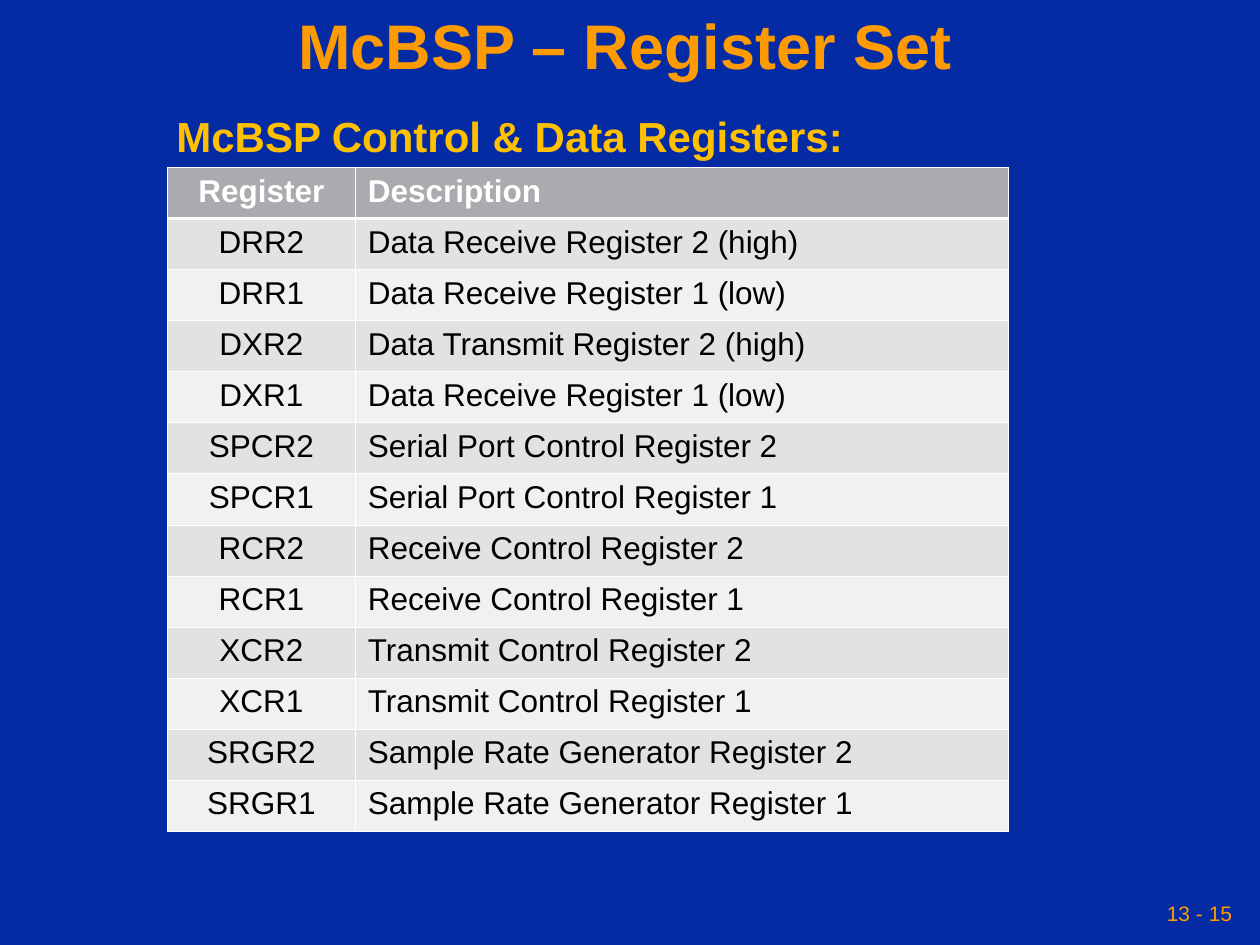
from lxml import etree
from pptx import Presentation
from pptx.dml.color import RGBColor
from pptx.enum.text import MSO_ANCHOR, MSO_AUTO_SIZE, PP_ALIGN
from pptx.oxml.ns import qn
from pptx.util import Inches, Pt

LEFT, CENTER, RIGHT = PP_ALIGN.LEFT, PP_ALIGN.CENTER, PP_ALIGN.RIGHT
TOP, MIDDLE = MSO_ANCHOR.TOP, MSO_ANCHOR.MIDDLE
FIT_SHAPE, NO_FIT = MSO_AUTO_SIZE.SHAPE_TO_FIT_TEXT, MSO_AUTO_SIZE.NONE

BLUE = RGBColor(0x04, 0x2A, 0xA4)
ORANGE = RGBColor(0xFE, 0x9B, 0x03)
GOLD = RGBColor(0xFF, 0xC0, 0x00)
WHITE = RGBColor(0xFF, 0xFF, 0xFF)
BLACK = RGBColor(0x00, 0x00, 0x00)
HEADER_GREY = RGBColor(0xAA, 0xAA, 0xAF)
BANDS = (RGBColor(0xF1, 0xF1, 0xF2), RGBColor(0xE2, 0xE2, 0xE3))

THIN, THICK = 0.45, 1.47

REGISTERS = [
    ("Register", "Description"),
    ("DRR2", "Data Receive Register 2 (high)"),
    ("DRR1", "Data Receive Register 1 (low)"),
    ("DXR2", "Data Transmit Register 2 (high)"),
    ("DXR1", "Data Receive Register 1 (low)"),
    ("SPCR2", "Serial Port Control Register 2"),
    ("SPCR1", "Serial Port Control Register 1"),
    ("RCR2", "Receive Control Register 2"),
    ("RCR1", "Receive Control Register 1"),
    ("XCR2", "Transmit Control Register 2"),
    ("XCR1", "Transmit Control Register 1"),
    ("SRGR2", "Sample Rate Generator Register 2"),
    ("SRGR1", "Sample Rate Generator Register 1"),
]


def write_text(tf, text, size=18, color=BLACK, bold=False, align=LEFT, spacing=None):
    """Write one formatted paragraph into a text frame."""
    p = tf.paragraphs[0]
    p.alignment = align
    p.line_spacing = spacing
    r = p.add_run()
    r.text = text
    r.font.name = "Arial"
    r.font.size = Pt(size)
    r.font.bold = bold
    r.font.color.rgb = color


def add_label(s, box, text, anchor=MIDDLE, wrap=False, fit=NO_FIT, side=0.05, **fmt):
    """Add a text box at the given left, top, width and height."""
    tf = s.shapes.add_textbox(*map(Inches, box)).text_frame
    tf.word_wrap = wrap
    tf.auto_size = fit
    tf.vertical_anchor = anchor
    tf.margin_left = tf.margin_right = Inches(side)
    tf.margin_top = tf.margin_bottom = Inches(0.05)
    write_text(tf, text, **fmt)


def set_borders(cell, top, bottom):
    """Draw white borders round a table cell."""
    tc_pr = cell._tc.get_or_add_tcPr()
    for tag, width in (("lnL", THIN), ("lnR", THIN), ("lnT", top), ("lnB", bottom)):
        ln = etree.SubElement(tc_pr, qn(f"a:{tag}"), w=str(Pt(width)))
        fill = etree.SubElement(ln, qn("a:solidFill"))
        etree.SubElement(fill, qn("a:srgbClr"), val=str(WHITE))


def add_register_table(s, box):
    """Add the banded register table, filling the given box."""
    left, top, width, height = box
    table = s.shapes.add_table(len(REGISTERS), 2, *map(Inches, box)).table
    name_width = 1.49
    table.columns[0].width = Inches(name_width)
    table.columns[1].width = Inches(width - name_width)
    for i, row in enumerate(REGISTERS):
        header = i == 0
        table.rows[i].height = Inches(height / len(REGISTERS))
        for j, text in enumerate(row):
            cell = table.cell(i, j)
            set_borders(cell, THICK if i == 1 else THIN, THICK if header else THIN)
            cell.fill.solid()
            cell.fill.fore_color.rgb = HEADER_GREY if header else BANDS[i % 2]
            write_text(cell.text_frame, text, bold=header,
                       color=WHITE if header else BLACK,
                       align=LEFT if j else CENTER)


def build_register_slide(prs):
    """Build the register set slide."""
    s = prs.slides.add_slide(prs.slide_layouts[6])
    s.background.fill.solid()
    s.background.fill.fore_color.rgb = BLUE
    add_label(s, (6.83, 7.08, 3, 0.33), "13 - 15", size=12, color=ORANGE, align=RIGHT)
    add_label(s, (0, 0, 9.92, 0.83), "McBSP – Register Set", wrap=True,
              size=36, color=ORANGE, bold=True, align=CENTER, spacing=0.75)
    add_label(s, (1.3, 0.83, 5.49, 0.5), "McBSP Control & Data Registers:",
              anchor=TOP, fit=FIT_SHAPE, side=0.1,
              size=24, color=GOLD, bold=True, align=CENTER)
    add_register_table(s, (1.33, 1.33, 6.67, 5.27))


def main():
    """Create and save the presentation."""
    prs = Presentation()
    prs.slide_width, prs.slide_height = Inches(10), Inches(7.5)
    build_register_slide(prs)
    prs.save("out.pptx")


if __name__ == "__main__":
    main()
